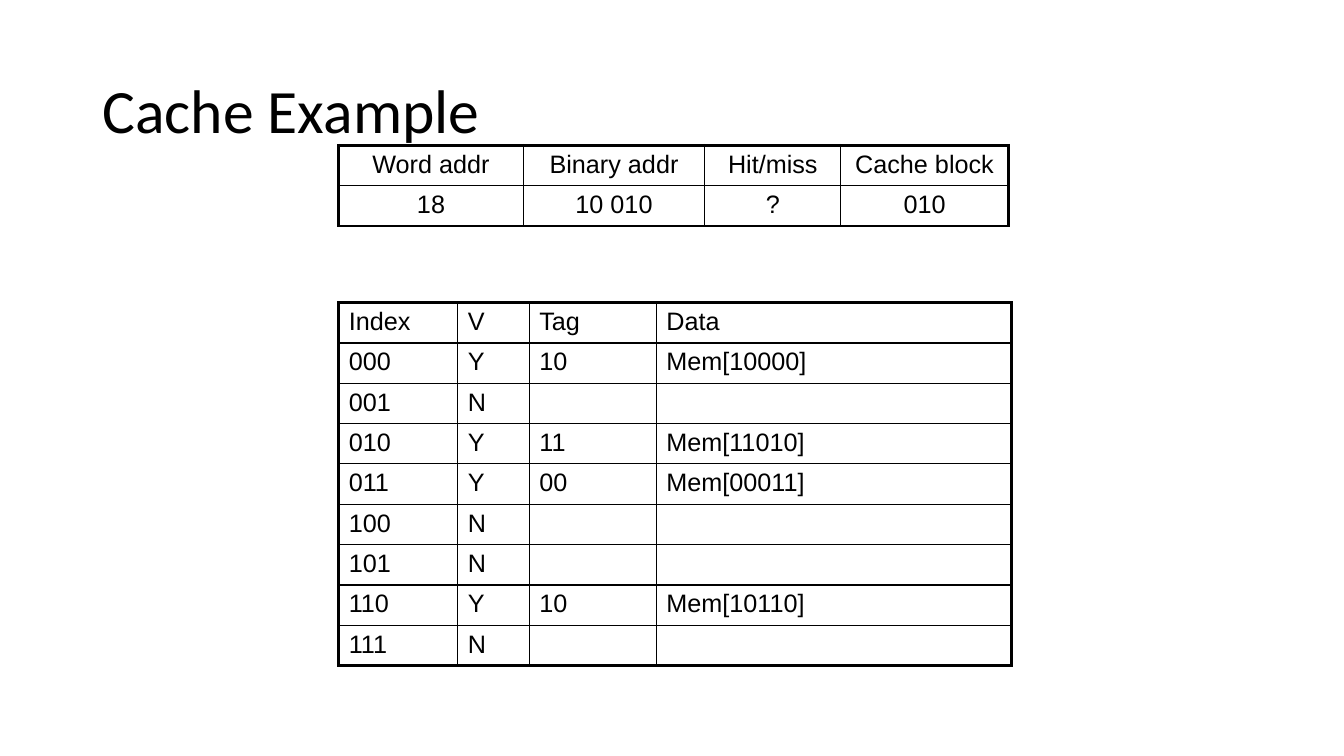
from lxml import etree
from pptx import Presentation
from pptx.dml.color import RGBColor
from pptx.enum.text import MSO_ANCHOR, PP_ALIGN
from pptx.oxml.ns import qn
from pptx.util import Inches, Pt

BLACK = RGBColor(0x00, 0x00, 0x00)
LEFT, CENTER = PP_ALIGN.LEFT, PP_ALIGN.CENTER
MIDDLE = MSO_ANCHOR.MIDDLE
OUTER, HEADER, INNER = 2.25, 1.5, 1

LOOKUP = [
    ["Word addr", "Binary addr", "Hit/miss", "Cache block"],
    ["18", "10 010", "?", "010"],
]
CACHE = [
    ["Index", "V", "Tag", "Data"],
    ["000", "Y", "10", "Mem[10000]"],
    ["001", "N", "", ""],
    ["010", "Y", "11", "Mem[11010]"],
    ["011", "Y", "00", "Mem[00011]"],
    ["100", "N", "", ""],
    ["101", "N", "", ""],
    ["110", "Y", "10", "Mem[10110]"],
    ["111", "N", "", ""],
]


class CacheSlide:
    """Draws titles and ruled tables in one style on a slide."""

    title_font, table_font = "Calibri", "Arial"
    title_size, table_size = Pt(44), Pt(18)

    def __init__(self, slide):
        self.slide = slide

    def add_text(self, paragraph, text, font, size):
        run = paragraph.add_run()
        run.text = text
        run.font.name = font
        run.font.size = size
        run.font.color.rgb = BLACK

    def title(self, text, left, top, width, height):
        box = self.slide.shapes.add_textbox(
            Inches(left), Inches(top), Inches(width), Inches(height))
        frame = box.text_frame
        frame.word_wrap = True
        frame.vertical_anchor = MIDDLE
        heading = frame.paragraphs[0]
        heading.line_spacing = 0.9
        self.add_text(heading, text, self.title_font, self.title_size)

    def rule(self, cell, side, points):
        line = etree.SubElement(
            cell._tc.get_or_add_tcPr(), qn(f"a:ln{side}"), w=str(Pt(points)))
        fill = etree.SubElement(line, qn("a:solidFill"))
        etree.SubElement(fill, qn("a:srgbClr"), val=str(BLACK))

    def table(self, rows, left, top, widths, heights, align):
        last_row, last_column = len(rows) - 1, len(widths) - 1
        grid = self.slide.shapes.add_table(
            len(rows), len(widths), Inches(left), Inches(top),
            Inches(sum(widths)), Inches(sum(heights))).table
        grid.first_row = grid.horz_banding = False
        for column, width in zip(grid.columns, widths):
            column.width = Inches(width)
        for row, height in zip(grid.rows, heights):
            row.height = Inches(height)
        for r, texts in enumerate(rows):
            for c, text in enumerate(texts):
                cell = grid.cell(r, c)
                self.rule(cell, "L", OUTER if c == 0 else INNER)
                self.rule(cell, "R", OUTER if c == last_column else INNER)
                self.rule(cell, "T", {0: OUTER, 1: HEADER}.get(r, INNER))
                self.rule(cell, "B", {last_row: OUTER, 0: HEADER}.get(r, INNER))
                cell.fill.background()
                paragraph = cell.text_frame.paragraphs[0]
                paragraph.alignment = align
                if text:
                    self.add_text(paragraph, text, self.table_font, self.table_size)
                else:
                    paragraph.font.size = self.table_size


def main():
    deck = Presentation()
    deck.slide_width, deck.slide_height = Inches(13.33), Inches(7.5)
    page = CacheSlide(deck.slides.add_slide(deck.slide_layouts[6]))
    page.title("Cache Example", 0.92, 0.4, 11.5, 1.45)
    page.table(CACHE, 3.36, 3, [1.18, 0.71, 1.26, 3.52], [0.36] * len(CACHE), LEFT)
    page.table(LOOKUP, 3.36, 1.44, [1.83, 1.8, 1.35, 1.66], [0.36, 0.4], CENTER)
    deck.save("out.pptx")


if __name__ == "__main__":
    main()
